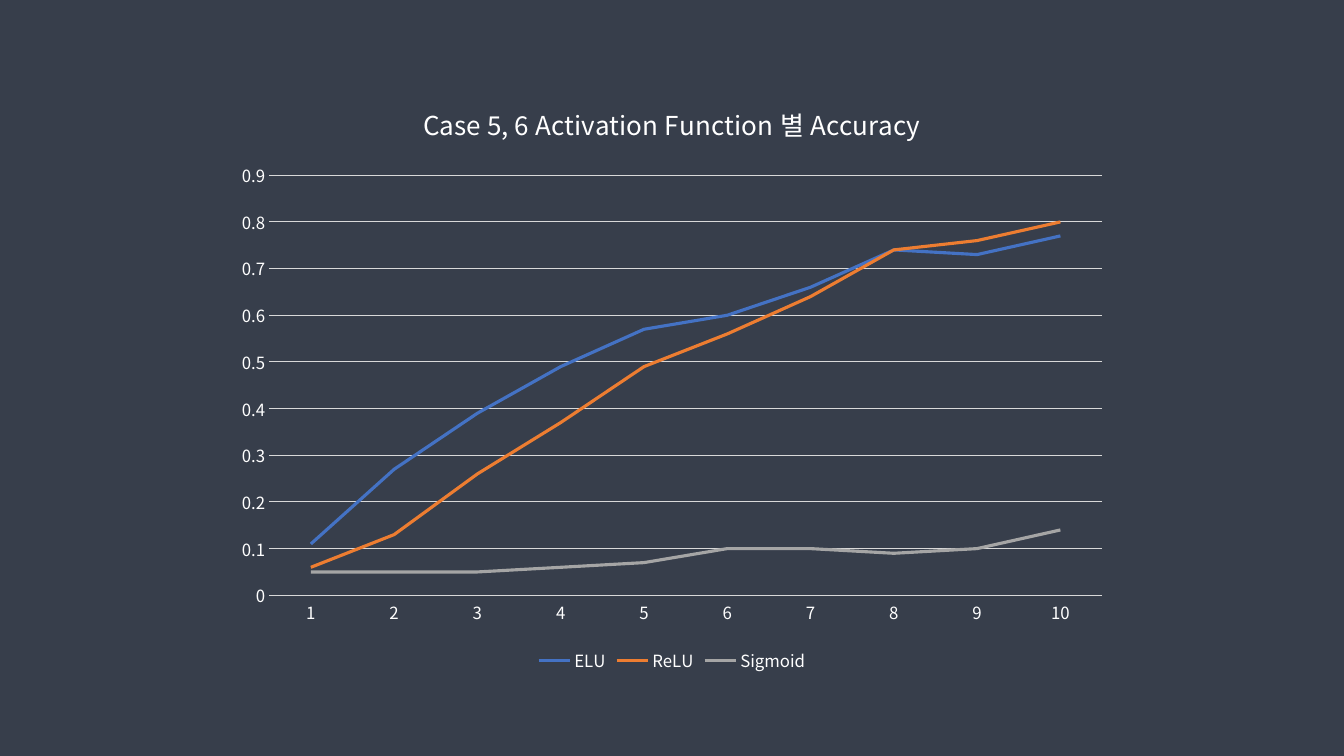
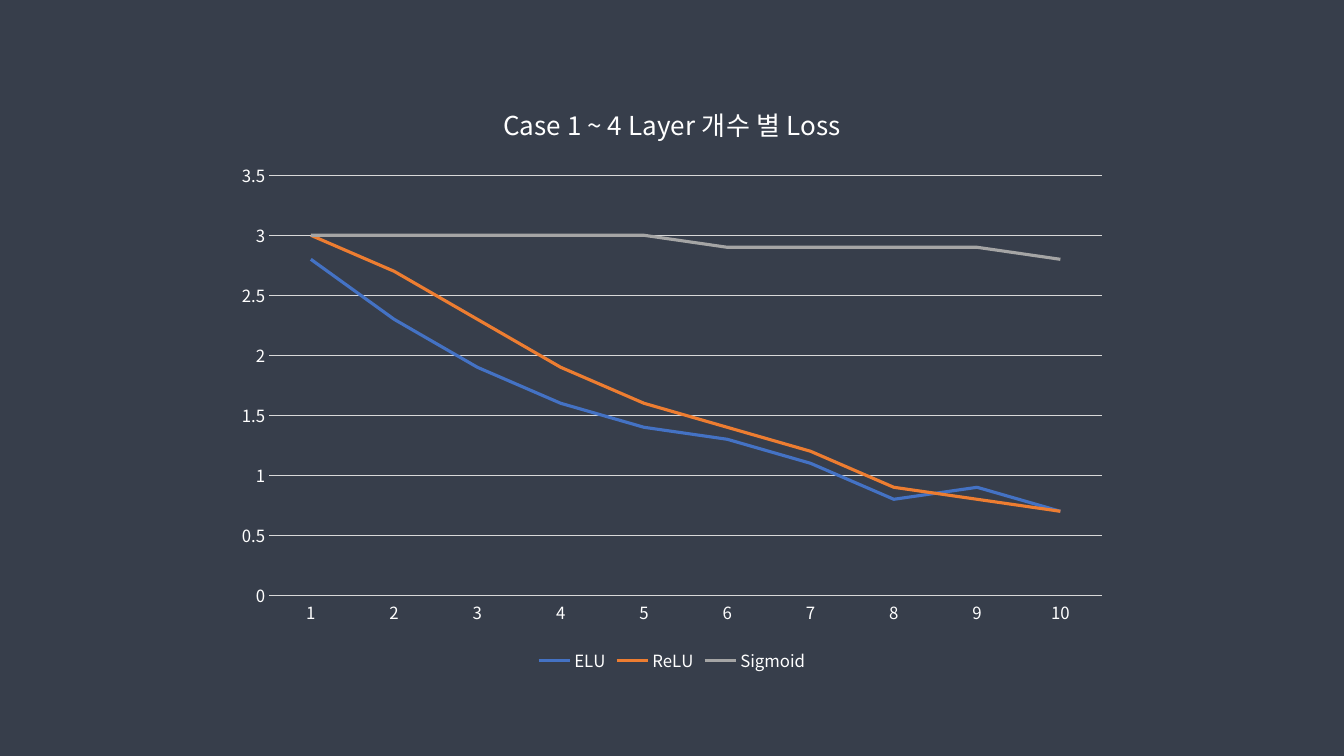
"""Build two line chart slides that compare activation functions."""
from dataclasses import dataclass

from lxml.etree import SubElement
from pptx import Presentation
from pptx.chart.axis import ValueAxis
from pptx.chart.chart import Chart
from pptx.chart.data import CategoryChartData
from pptx.dml.color import RGBColor
from pptx.dml.line import LineFormat
from pptx.enum.chart import XL_CHART_TYPE, XL_LEGEND_POSITION, XL_TICK_MARK
from pptx.oxml.ns import qn
from pptx.presentation import Presentation as Deck
from pptx.text.text import Font
from pptx.util import Emu, Pt

PIXEL = 9525 * 96 / 100.8
BLANK_LAYOUT = 6


@dataclass(frozen=True)
class Theme:
    """Colours, font and sizes in points shared by the slides."""
    background: str = "373E4B"
    text: str = "FFFFFF"
    grid: str = "D9D9D9"
    series: tuple[str, ...] = ("4472C4", "ED7D31", "A5A5A5")
    font: str = "Noto Sans CJK KR"
    title_size: float = 18.6
    label_size: float = 12
    base_size: float = 10
    grid_width: float = 0.75
    series_width: float = 2.25


@dataclass(frozen=True)
class Box:
    """A rectangle in whole pixels."""
    left: int
    top: int
    width: int
    height: int

    def emu(self) -> tuple[Emu, ...]:
        """Return left, top, width and height in EMU."""
        return tuple(Emu(round(length * PIXEL)) for length in
                     (self.left, self.top, self.width, self.height))


@dataclass(frozen=True)
class LineChart:
    """The content and value scale of one chart slide."""
    title: str
    maximum: float
    step: float
    series: dict[str, tuple[float, ...]]


THEME = Theme()
SLIDE_BOX = Box(0, 0, 1344, 756)
CHART_BOX = Box(224, 80, 896, 597)
EPOCHS = [str(epoch) for epoch in range(1, 11)]

CHARTS = (
    LineChart("Case 5, 6 Activation Function 별 Accuracy", 0.9, 0.1, {
        "ELU": (0.11, 0.27, 0.39, 0.49, 0.57, 0.6, 0.66, 0.74, 0.73, 0.77),
        "ReLU": (0.06, 0.13, 0.26, 0.37, 0.49, 0.56, 0.64, 0.74, 0.76, 0.8),
        "Sigmoid": (0.05, 0.05, 0.05, 0.06, 0.07, 0.1, 0.1, 0.09, 0.1, 0.14),
    }),
    LineChart("Case 1 ~ 4 Layer 개수 별 Loss", 3.5, 0.5, {
        "ELU": (2.8, 2.3, 1.9, 1.6, 1.4, 1.3, 1.1, 0.8, 0.9, 0.7),
        "ReLU": (3, 2.7, 2.3, 1.9, 1.6, 1.4, 1.2, 0.9, 0.8, 0.7),
        "Sigmoid": (3, 3, 3, 3, 3, 2.9, 2.9, 2.9, 2.9, 2.8),
    }),
)


def format_font(font: Font, size: float) -> None:
    """Apply the theme font and text colour at a size."""
    font.name = THEME.font
    font.size = Pt(size)
    font.bold = False
    font.color.rgb = RGBColor.from_string(THEME.text)


def format_line(line: LineFormat, color: str, width: float) -> None:
    """Give a line a solid colour and a width."""
    line.color.rgb = RGBColor.from_string(color)
    line.width = Pt(width)


def add_title(chart: Chart, text: str, *, size: float) -> None:
    """Write the chart title, with the theme font for Korean text too."""
    chart.has_title = True
    chart.chart_title.include_in_layout = False
    run = chart.chart_title.text_frame.paragraphs[0].add_run()
    run.text = text
    format_font(run.font, size)
    SubElement(run._r.get_or_add_rPr(), qn("a:ea"), typeface=THEME.font)


def format_axes(chart: Chart, maximum: float, step: float) -> None:
    """Style both axes and set the value scale."""
    for axis in (chart.category_axis, chart.value_axis):
        axis.major_tick_mark = XL_TICK_MARK.NONE
        axis.minor_tick_mark = XL_TICK_MARK.NONE
        format_font(axis.tick_labels.font, THEME.label_size)
    format_line(chart.category_axis.format.line, THEME.grid, THEME.grid_width)
    value_axis: ValueAxis = chart.value_axis
    value_axis.minimum_scale = 0
    value_axis.maximum_scale = maximum
    value_axis.major_unit = step
    value_axis.format.line.fill.background()
    format_line(value_axis.major_gridlines.format.line,
                THEME.grid, THEME.grid_width)


def add_legend(chart: Chart) -> None:
    """Place the legend below the plot."""
    chart.has_legend = True
    chart.legend.position = XL_LEGEND_POSITION.BOTTOM
    chart.legend.include_in_layout = False
    format_font(chart.legend.font, THEME.label_size)


def add_chart_slide(presentation: Deck, content: LineChart) -> None:
    """Add a slide that holds one line chart."""
    slide = presentation.slides.add_slide(
        presentation.slide_layouts[BLANK_LAYOUT])
    data = CategoryChartData()
    data.categories = EPOCHS
    for name, values in content.series.items():
        data.add_series(name, values)
    chart = slide.shapes.add_chart(
        XL_CHART_TYPE.LINE, *CHART_BOX.emu(), data).chart
    format_font(chart.font, THEME.base_size)
    add_title(chart, content.title, size=THEME.title_size)
    format_axes(chart, content.maximum, content.step)
    add_legend(chart)
    plot = chart.plots[0]
    plot.vary_by_categories = False
    for series, color in zip(plot.series, THEME.series):
        series.smooth = False
        format_line(series.format.line, color, THEME.series_width)


def main() -> None:
    """Build and save the presentation."""
    presentation = Presentation()
    _, _, presentation.slide_width, presentation.slide_height = SLIDE_BOX.emu()
    background = presentation.slide_master.background.fill
    background.solid()
    background.fore_color.rgb = RGBColor.from_string(THEME.background)
    for content in CHARTS:
        add_chart_slide(presentation, content)
    presentation.save("out.pptx")


main()
